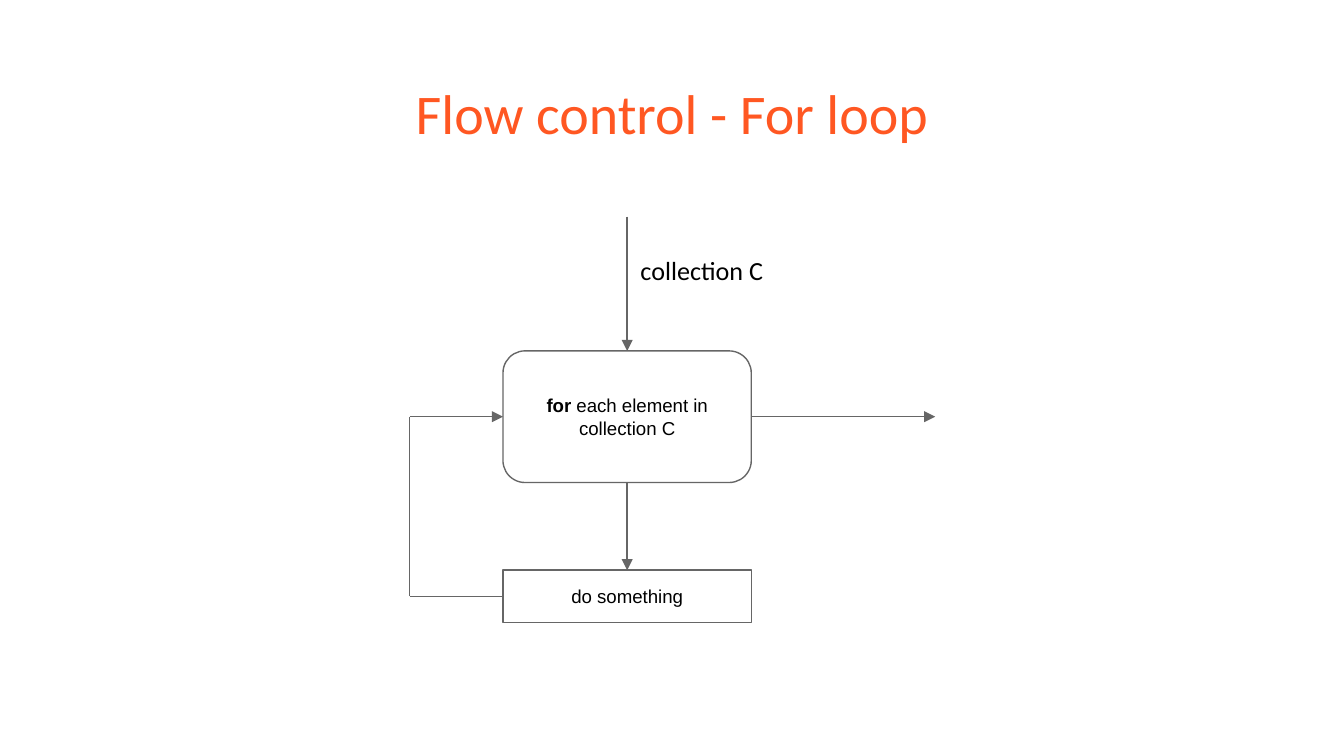
import dataclasses

import pptx
import pptx.dml.color
import pptx.enum.shapes
import pptx.enum.text
import pptx.oxml.ns
import pptx.util
from lxml import etree

Pt = pptx.util.Pt
Align = pptx.enum.text.PP_ALIGN
Anchor = pptx.enum.text.MSO_ANCHOR
Shape = pptx.enum.shapes.MSO_SHAPE
TOP, LEFT, BOTTOM, RIGHT = range(4)


@dataclasses.dataclass(frozen=True)
class Theme:
    accent: str = "FF5722"
    ink: str = "000000"
    line: str = "666666"
    heading_font: str = "Calibri"
    node_font: str = "Arial"
    title_size: float = 30
    label_size: float = 14
    node_size: float = 10
    line_width: float = 0.75
    inset: float = 7.2


theme = Theme()


def color(value):
    return pptx.dml.color.RGBColor.from_string(value)


def apply(target, values):
    for name, value in values.items():
        setattr(target, name, value)


def write(shape, runs, font, size, ink, align, anchor):
    frame = shape.text_frame
    margins = ("margin_left", "margin_top", "margin_right", "margin_bottom")
    apply(frame, dict.fromkeys(margins, Pt(theme.inset)))
    apply(frame, {"word_wrap": True, "vertical_anchor": anchor,
                  "auto_size": pptx.enum.text.MSO_AUTO_SIZE.NONE})
    paragraph = frame.paragraphs[0]
    paragraph.alignment = align
    for text, bold in runs:
        run = paragraph.add_run()
        run.text = text
        apply(run.font, {"name": font, "size": Pt(size), "bold": bold})
        run.font.color.rgb = color(ink)


def style_line(line):
    line.color.rgb = color(theme.line)
    line.width = Pt(theme.line_width)


def add_node(slide, kind, box, runs):
    node = slide.shapes.add_shape(kind, *map(Pt, box))
    node.shadow.inherit = False
    node.fill.background()
    style_line(node.line)
    write(node, runs, theme.node_font, theme.node_size, theme.ink,
          Align.CENTER, Anchor.MIDDLE)
    return node


def add_link(slide, start, end, source=None, target=None, arrow=True):
    link = slide.shapes.add_connector(
        pptx.enum.shapes.MSO_CONNECTOR.STRAIGHT, *map(Pt, start + end))
    style_line(link.line)
    if arrow:
        etree.SubElement(link.line._get_or_add_ln(),
                         pptx.oxml.ns.qn("a:tailEnd"), type="triangle")
    etree.SubElement(link._element.spPr, pptx.oxml.ns.qn("a:effectLst"))
    if source:
        link.begin_connect(*source)
    if target:
        link.end_connect(*target)


def add_title(slide, box, text):
    title = slide.shapes.title
    names = ("left", "top", "width", "height")
    apply(title, dict(zip(names, map(Pt, box))))
    write(title, [(text, False)], theme.heading_font, theme.title_size,
          theme.accent, Align.CENTER, Anchor.TOP)


def add_loop_diagram(slide, box):
    left, top, width, height = box
    node_left, node_width = left + 50, 133
    loop_top, loop_height, action_height = top + 72, 70.5, 28
    action_top = top + height - action_height
    center = node_left + node_width / 2
    loop_middle = loop_top + loop_height / 2
    action_middle = action_top + action_height / 2

    label = slide.shapes.add_textbox(*map(Pt, (center, top + 13, 110, 36.5)))
    write(label, [("collection C", False)], theme.heading_font,
          theme.label_size, theme.ink, Align.LEFT, Anchor.TOP)
    loop = add_node(slide, Shape.ROUNDED_RECTANGLE,
                    (node_left, loop_top, node_width, loop_height),
                    [("for", True), (" each element in collection C", False)])
    action = add_node(slide, Shape.RECTANGLE,
                      (node_left, action_top, node_width, action_height),
                      [("do something", False)])

    add_link(slide, (center, top), (center, loop_top), target=(loop, TOP))
    add_link(slide, (center, loop_top + loop_height), (center, action_top),
             source=(loop, BOTTOM), target=(action, TOP))
    add_link(slide, (node_left + node_width, loop_middle),
             (left + width, loop_middle), source=(loop, RIGHT))
    add_link(slide, (node_left, action_middle), (left, action_middle),
             source=(action, LEFT), arrow=False)
    add_link(slide, (left, action_middle), (left, loop_middle), arrow=False)
    add_link(slide, (left, loop_middle), (node_left, loop_middle),
             target=(loop, LEFT))


presentation = pptx.Presentation()
apply(presentation, {"slide_width": Pt(720), "slide_height": Pt(405)})
slide = presentation.slides.add_slide(presentation.slide_layouts[5])
add_title(slide, (24.5, 35, 671, 45.5), "Flow control - For loop")
add_loop_diagram(slide, (219.5, 116, 281.5, 217.5))
presentation.save("out.pptx")
